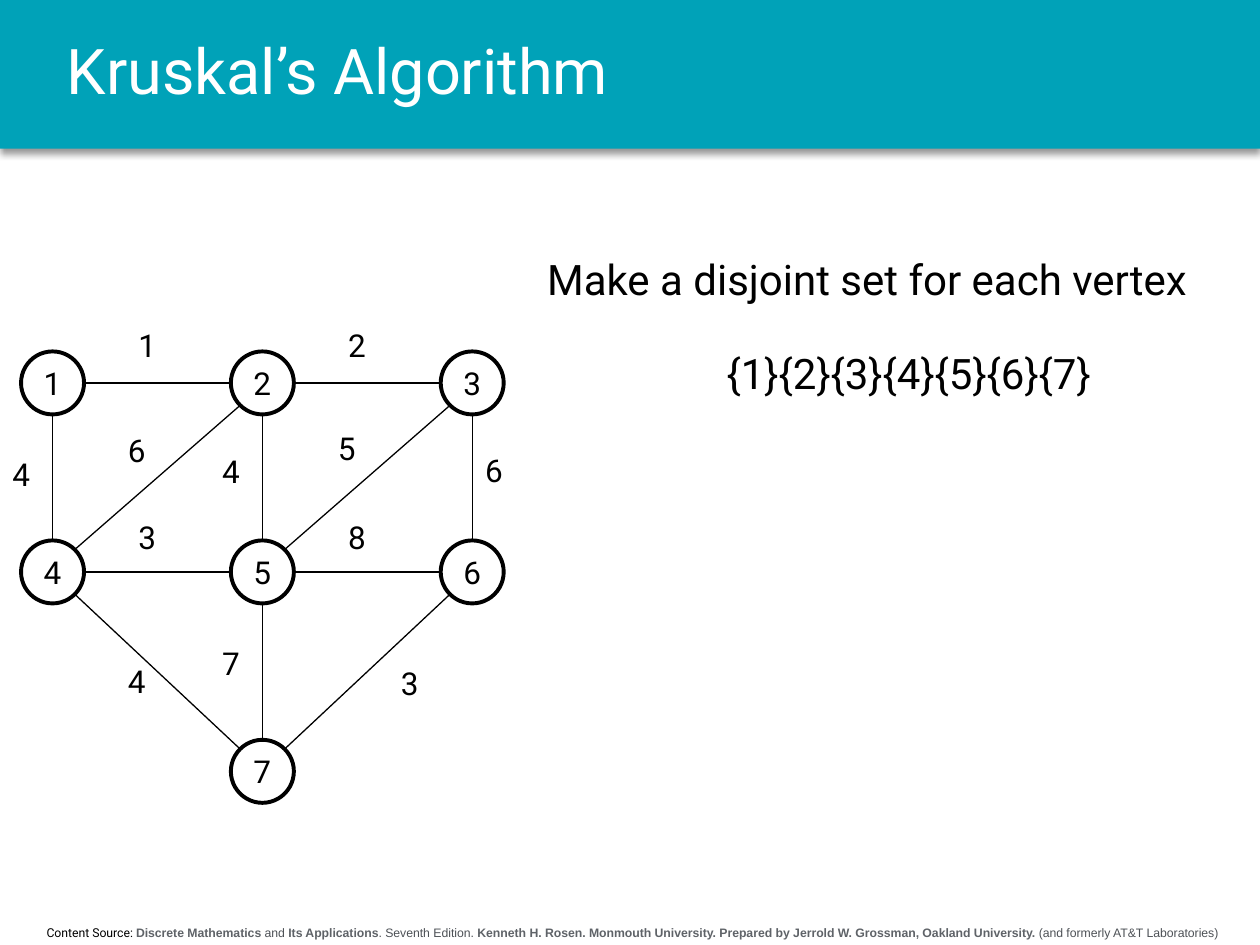
from math import sqrt

from lxml.etree import SubElement
from pptx import Presentation
from pptx.dml.color import RGBColor
from pptx.enum.shapes import MSO_CONNECTOR, MSO_SHAPE
from pptx.enum.text import MSO_ANCHOR, MSO_AUTO_SIZE, PP_ALIGN
from pptx.oxml.ns import qn
from pptx.util import Cm, Pt

TITLE = "Kruskal’s Algorithm"
STEP = "Make a disjoint set for each vertex"
SETS = "{1}{2}{3}{4}{5}{6}{7}"

# text, style
SOURCE = [
    ("Content Source: ", "lead"),
    ("Discrete Mathematics", "strong"),
    (" and ", "plain"),
    ("Its Applications", "strong"),
    (". Seventh Edition. ", "plain"),
    ("Kenneth H. Rosen. Monmouth University. Prepared by Jerrold W. Grossman, "
     "Oakland University.", "strong"),
    (" (and formerly AT&T Laboratories)", "plain"),
]

# vertex: column, row
NODES = {1: (0, 0), 2: (1, 0), 3: (2, 0), 4: (0, 1), 5: (1, 1), 6: (2, 1), 7: (1, 2)}

# start, end, weight, left and top of the weight in cm
EDGES = [
    (1, 2, 1, 2.54, 6.45), (2, 3, 2, 6.77, 6.45),
    (4, 5, 3, 2.54, 10.31), (5, 6, 8, 6.77, 10.31),
    (1, 4, 4, 0, 9.04), (4, 2, 6, 2.33, 8.56), (2, 5, 4, 4.23, 8.99),
    (5, 3, 5, 6.56, 8.53), (3, 6, 6, 9.53, 8.97),
    (4, 7, 4, 2.33, 13.23), (5, 7, 7, 4.23, 12.85), (6, 7, 3, 7.83, 13.26),
]

COLS = [1.06 + 4.23 * i for i in range(3)]
ROWS = [7.72, 11.53, 15.55]
SIZE = 1.27    # circle width
REACH = 0.67   # from a centre to the end of an edge

# style: size, font, colour, bold
THEME = {
    "title": (36, "Roboto", "FFFFFF", False),
    "step": (24, "Roboto", "000000", False),
    "graph": (18, "Roboto", "000000", False),
    "lead": (7, "Roboto", "000000", False),
    "strong": (7, "Arial", "5F6368", True),
    "plain": (7, "Arial", "4D5156", False),
    "band": "00A2B8",
    "line": "000000",
}


def tint(name):
    return RGBColor.from_string(THEME[name])


def write(frame, runs, align=PP_ALIGN.LEFT):
    par = frame.paragraphs[0]
    par.alignment = align
    for text, style in runs:
        run = par.add_run()
        run.text = text
        size, face, color, bold = THEME[style]
        run.font.size, run.font.name, run.font.bold = Pt(size), face, bold
        run.font.color.rgb = RGBColor.from_string(color)
    return par


def add_text(slide, box, runs, align=PP_ALIGN.LEFT):
    frame = slide.shapes.add_textbox(*map(Cm, box)).text_frame
    frame.word_wrap = True
    frame.auto_size = MSO_AUTO_SIZE.SHAPE_TO_FIT_TEXT
    write(frame, runs, align)
    return frame


def add_band(slide):
    band = slide.shapes.add_shape(MSO_SHAPE.RECTANGLE, 0, 0, Cm(25.4), Cm(3))
    band.fill.solid()
    band.fill.fore_color.rgb = tint("band")
    band.line.fill.background()
    band.shadow.inherit = False
    glow = SubElement(band.element.spPr.find(qn("a:effectLst")), qn("a:outerShdw"),
                      blurRad=str(Pt(4)), dist=str(Pt(3)), dir="5400000",
                      algn="t", rotWithShape="0")
    hue = SubElement(glow, qn("a:srgbClr"), val="000000")
    SubElement(hue, qn("a:alpha"), val="40000")


def add_title(slide):
    title = slide.shapes.title
    title.left, title.top, title.width, title.height = map(Cm, (1.09, 0, 23.62, 3))
    title.text_frame.vertical_anchor = MSO_ANCHOR.MIDDLE
    write(title.text_frame, [(TITLE, "title")]).line_spacing = 0.9
    slide.shapes._spTree.append(title.element)  # in front of the band


def centre(node):
    col, row = NODES[node]
    return COLS[col], ROWS[row]


def add_node(slide, node):
    x, y = centre(node)
    box = (x - SIZE / 2, y - SIZE / 2, SIZE, SIZE)
    ring = slide.shapes.add_shape(MSO_SHAPE.OVAL, *map(Cm, box))
    ring.fill.background()
    ring.line.color.rgb = tint("line")
    ring.line.width = Pt(2.25)
    ring.shadow.inherit = False
    ring.text_frame.word_wrap = False
    ring.text_frame.vertical_anchor = MSO_ANCHOR.MIDDLE
    write(ring.text_frame, [(str(node), "graph")], PP_ALIGN.CENTER)


def sign(value):
    return (value > 0) - (value < 0)


def add_edge(slide, start, end):
    """Join two circles at their nearest side or 45-degree points."""
    (x1, y1), (x2, y2) = centre(start), centre(end)
    dx, dy = sign(x2 - x1), sign(y2 - y1)
    step = REACH / sqrt(dx * dx + dy * dy)
    ends = (x1 + dx * step, y1 + dy * step, x2 - dx * step, y2 - dy * step)
    edge = slide.shapes.add_connector(MSO_CONNECTOR.STRAIGHT, *map(Cm, ends))
    edge.line.color.rgb = tint("line")
    edge.line.width = Pt(0.75)
    SubElement(edge._element.spPr, qn("a:effectLst"))


def main():
    deck = Presentation()
    deck.slide_width, deck.slide_height = Cm(25.4), Cm(19.05)
    slide = deck.slides.add_slide(deck.slide_layouts[5])

    add_band(slide)
    add_text(slide, (0.1, 18.52, 25.3, 0.56), SOURCE, PP_ALIGN.CENTER)
    add_title(slide)

    for node in NODES:
        add_node(slide, node)
    for start, end, weight, left, top in EDGES:
        add_edge(slide, start, end)
        add_text(slide, (left, top, SIZE, 1.02), [(str(weight), "graph")])

    add_text(slide, (14.4, 6.88, 9.32, 1.27), [(SETS, "step")])
    step = add_text(slide, (11.23, 4.88, 12.5, 1.47), [(STEP, "step")], PP_ALIGN.CENTER)
    step.word_wrap = False
    step.auto_size = MSO_AUTO_SIZE.NONE
    step.vertical_anchor = MSO_ANCHOR.MIDDLE

    deck.save("out.pptx")


if __name__ == "__main__":
    main()
